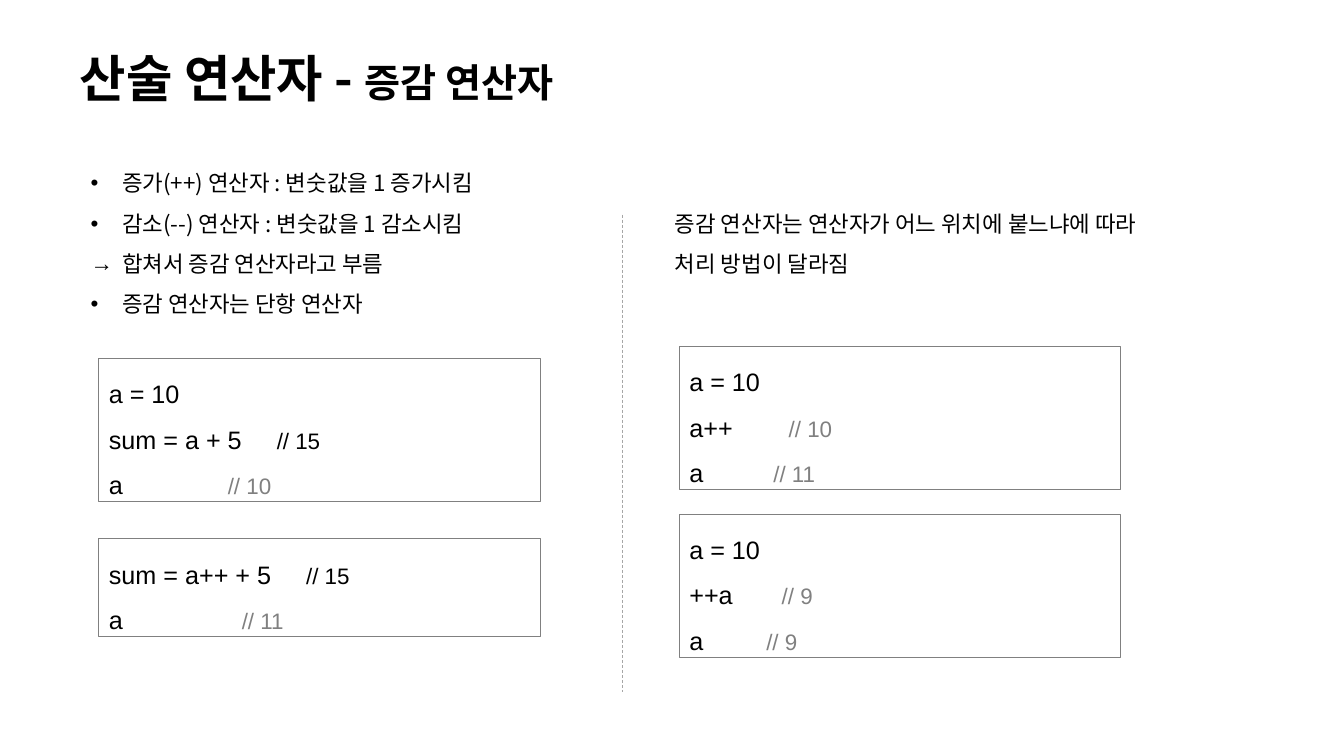
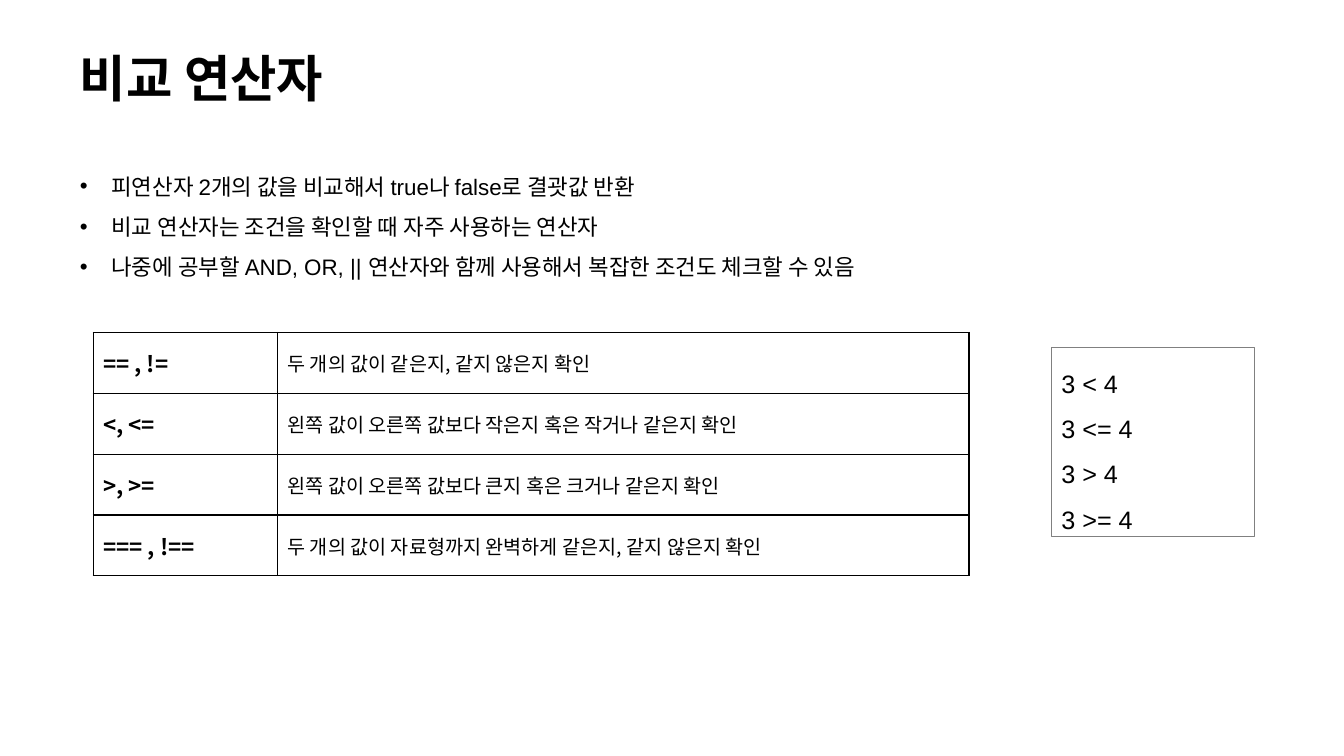
from lxml.etree import SubElement
from pptx import Presentation
from pptx.dml.color import RGBColor
from pptx.enum.dml import MSO_LINE
from pptx.enum.shapes import MSO_CONNECTOR, MSO_SHAPE
from pptx.enum.text import MSO_ANCHOR, PP_ALIGN
from pptx.oxml.ns import qn
from pptx.util import Pt

BLACK = RGBColor(0x00, 0x00, 0x00)
GRAY = RGBColor(0x80, 0x80, 0x80)
LIGHT_GRAY = RGBColor(0xA6, 0xA6, 0xA6)
KOREAN = "Noto Sans CJK KR"
LATIN = "Arial"
TITLE_SIZE, SUBTITLE_SIZE = 36, 28
BODY_SIZE, CODE_SIZE, CELL_SIZE = 16, 18, 14
LINE_FACTOR = 1.8
HANGING = 22.5


class Deck:
    def __init__(self):
        self.prs = Presentation()
        self.prs.slide_width = Pt(960)
        self.prs.slide_height = Pt(540)
        self.s = None

    def slide(self, title, subtitle=None):
        self.s = self.prs.slides.add_slide(self.prs.slide_layouts[6])
        tf = self.frame(50, 25, 701, 66)
        tf.vertical_anchor = MSO_ANCHOR.MIDDLE
        p = tf.paragraphs[0]
        p.line_spacing = 0.9
        self.run(p, title, TITLE_SIZE, bold=True)
        if subtitle:
            self.run(p, subtitle, SUBTITLE_SIZE, bold=True)

    def frame(self, left, top, width, height):
        sp = self.s.shapes.add_textbox(Pt(left), Pt(top), Pt(width), Pt(height))
        tf = sp.text_frame
        tf.word_wrap = True
        return tf

    def run(self, p, text, size, font=KOREAN, color=BLACK, bold=False):
        r = p.add_run()
        r.text = text
        r.font.size = Pt(size)
        r.font.name = font
        r.font.bold = bold
        r.font.color.rgb = color
        SubElement(r.font._element, qn("a:ea")).set("typeface", KOREAN)

    def paragraph(self, tf, i, size):
        p = tf.add_paragraph() if i else tf.paragraphs[0]
        p.alignment = PP_ALIGN.LEFT
        p.line_spacing = Pt(LINE_FACTOR * size)
        return p

    def text(self, left, top, width, lines, font=KOREAN):
        height = LINE_FACTOR * BODY_SIZE * len(lines) + 7
        tf = self.frame(left, top, width, height)
        for i, (bullet, line) in enumerate(lines):
            p = self.paragraph(tf, i, BODY_SIZE)
            if bullet:
                pPr = p._p.get_or_add_pPr()
                pPr.set("marL", str(Pt(HANGING)))
                pPr.set("indent", str(-Pt(HANGING)))
                SubElement(pPr, qn("a:buFont")).set("typeface", LATIN)
                SubElement(pPr, qn("a:buChar")).set("char", bullet)
            self.run(p, line, BODY_SIZE, font)

    def code(self, left, top, width, lines):
        height = LINE_FACTOR * CODE_SIZE * len(lines) + 5
        sp = self.s.shapes.add_shape(
            MSO_SHAPE.RECTANGLE, Pt(left), Pt(top), Pt(width), Pt(height))
        sp.shadow.inherit = False
        sp.fill.background()
        sp.line.color.rgb = GRAY
        sp.line.width = Pt(0.75)
        tf = sp.text_frame
        tf.word_wrap = True
        tf.vertical_anchor = MSO_ANCHOR.TOP
        for i, (statement, *comment) in enumerate(lines):
            p = self.paragraph(tf, i, CODE_SIZE)
            if comment:
                note, pos, color = comment
                tabs = SubElement(p._p.get_or_add_pPr(), qn("a:tabLst"))
                SubElement(tabs, qn("a:tab"), pos=str(Pt(pos)), algn="l")
                self.run(p, statement + "\t", CODE_SIZE, LATIN)
                self.run(p, note, BODY_SIZE, LATIN, color)
            else:
                self.run(p, statement, CODE_SIZE, LATIN)

    def divider(self, x, top, bottom):
        cx = self.s.shapes.add_connector(
            MSO_CONNECTOR.STRAIGHT, Pt(x), Pt(top), Pt(x), Pt(bottom))
        cx.line.color.rgb = LIGHT_GRAY
        cx.line.width = Pt(0.5)
        cx.line.dash_style = MSO_LINE.DASH
        SubElement(cx._element.spPr, qn("a:effectLst"))

    def borders(self, cell):
        tcPr = cell._tc.get_or_add_tcPr()
        for i, side in enumerate(("lnL", "lnR", "lnT", "lnB")):
            ln = tcPr.makeelement(qn("a:" + side), {"w": str(Pt(1))})
            fill = SubElement(ln, qn("a:solidFill"))
            SubElement(fill, qn("a:srgbClr")).set("val", str(BLACK))
            tcPr.insert(i, ln)

    def table(self, left, top, widths, row_height, rows):
        gf = self.s.shapes.add_table(
            len(rows), len(widths), Pt(left), Pt(top),
            Pt(sum(widths)), Pt(row_height * len(rows)))
        tbl = gf.table
        tbl.first_row = tbl.horz_banding = False
        for col, width in zip(tbl.columns, widths):
            col.width = Pt(width)
        for i, row in enumerate(rows):
            tbl.rows[i].height = Pt(row_height)
            for j, text in enumerate(row):
                cell = tbl.cell(i, j)
                cell.fill.background()
                cell.vertical_anchor = MSO_ANCHOR.MIDDLE
                size = CELL_SIZE if j else BODY_SIZE
                self.run(cell.text_frame.paragraphs[0], text, size, bold=j == 0)
                self.borders(cell)


def arithmetic(deck):
    left, right, width = 70.6, 485.3, 315.4
    deck.slide("산술 연산자 - ", "증감 연산자")
    deck.text(57.6, 108, 330, [
        ("•", "증가(++) 연산자 : 변숫값을 1 증가시킴"),
        ("•", "감소(--) 연산자 : 변숫값을 1 감소시킴"),
        ("→", "합쳐서 증감 연산자라고 부름"),
        ("•", "증감 연산자는 단항 연산자")])
    deck.code(left, 256.2, width, [
        ("a = 10",), ("sum = a + 5", "// 15", 120, BLACK), ("a", "// 10", 85, GRAY)])
    deck.code(left, 385, width, [
        ("sum = a++ + 5", "// 15", 141, BLACK), ("a", "// 11", 95, GRAY)])
    deck.text(475, 137, 394, [
        (None, "증감 연산자는 연산자가 어느 위치에 붙느냐에 따라"),
        (None, "처리 방법이 달라짐")])
    deck.code(right, 247.6, width, [
        ("a = 10",), ("a++", "// 10", 71, GRAY), ("a", "// 11", 60, GRAY)])
    deck.code(right, 367.4, width, [
        ("a = 10",), ("++a", "// 9", 66, GRAY), ("a", "// 9", 55, GRAY)])
    deck.divider(444.4, 153.4, 494.6)


def comparison(deck):
    deck.slide("비교 연산자")
    deck.text(50, 110.2, 752, [
        ("•", "피연산자 2개의 값을 비교해서 true나 false로 결괏값 반환"),
        ("•", "비교 연산자는 조건을 확인할 때 자주 사용하는 연산자"),
        ("•", "나중에 공부할 AND, OR, || 연산자와 함께 사용해서 복잡한 조건도 체크할 수 있음")],
        LATIN)
    deck.table(66.6, 237.4, (131.6, 494), 43.5, [
        ("== , !=", "두 개의 값이 같은지, 같지 않은지 확인"),
        ("<, <=", "왼쪽 값이 오른쪽 값보다 작은지 혹은 작거나 같은지 확인"),
        (">, >=", "왼쪽 값이 오른쪽 값보다 큰지 혹은 크거나 같은지 확인"),
        ("=== , !==", "두 개의 값이 자료형까지 완벽하게 같은지, 같지 않은지 확인")])
    deck.code(751, 248.4, 145, [("3 < 4",), ("3 <= 4",), ("3 > 4",), ("3 >= 4",)])


def main():
    deck = Deck()
    arithmetic(deck)
    comparison(deck)
    deck.prs.save("out.pptx")


if __name__ == "__main__":
    main()
